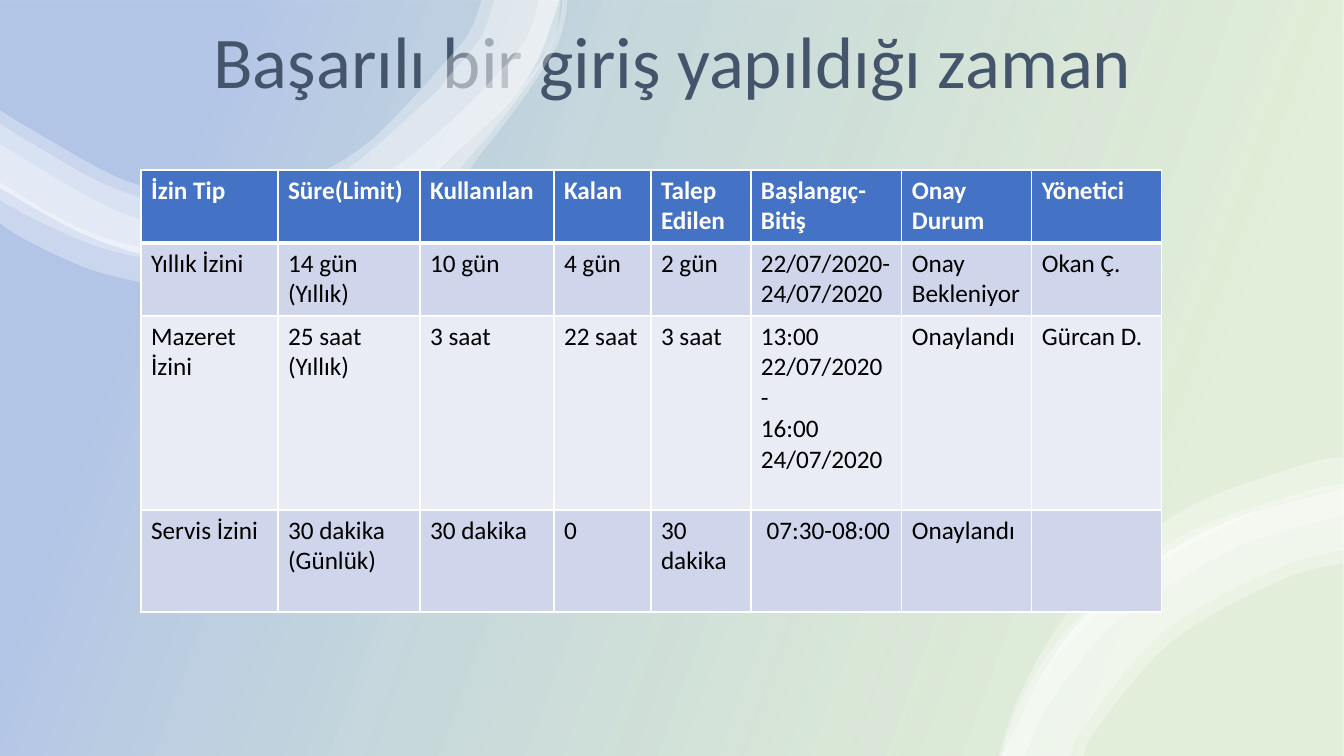
from lxml.etree import SubElement
from pptx import Presentation
from pptx.dml.color import RGBColor
from pptx.enum.shapes import MSO_SHAPE
from pptx.enum.text import MSO_ANCHOR, PP_ALIGN
from pptx.oxml.ns import qn
from pptx.util import Emu, Pt

WHITE = RGBColor(0xFF, 0xFF, 0xFF)
BLACK = RGBColor(0x00, 0x00, 0x00)
SLATE = RGBColor(0x44, 0x54, 0x6A)
BLUE = RGBColor(0x44, 0x72, 0xC4)
GREEN = RGBColor(0x70, 0xAD, 0x47)
BAND_DARK = RGBColor(0xCF, 0xD5, 0xEA)
BAND_LIGHT = RGBColor(0xE9, 0xEB, 0xF5)
FONT = "Calibri"
SLIDE_SIZE = (1344, 756)

TITLE = "Başarılı bir giriş yapıldığı zaman"
TITLE_BOX = (88, 15, 1169, 94)
GRADIENT = [(0.16, GREEN, 20), (0.85, BLUE, 40)]

LEAVE_ORIGIN = (141, 170)
COLUMN_WIDTHS = [137, 142, 134, 97, 100, 151, 130, 130]
ROW_HEIGHTS = [73, 73, 194, 102]
LEAVE_ROWS = [
    ["İzin Tip", "Süre(Limit)", "Kullanılan", "Kalan", "Talep Edilen",
     "Başlangıç-Bitiş", "Onay Durum", "Yönetici"],
    ["Yıllık İzini", "14 gün\n(Yıllık)", "10 gün", "4 gün", "2 gün",
     "22/07/2020-\n24/07/2020", "Onay\nBekleniyor", "Okan Ç."],
    ["Mazeret İzini", "25 saat\n(Yıllık)", "3 saat", "22 saat", "3 saat",
     "13:00 22/07/2020\n-\n16:00\n24/07/2020", "Onaylandı", "Gürcan D."],
    ["Servis İzini", "30 dakika\n(Günlük)", "30 dakika", "0", "30 dakika",
     " 07:30-08:00", "Onaylandı", ""],
]

TOP_INNER_EDGE = [(-2, 187), (100, 241), (202, 259), (363, 225), (479, 132),
                  (532, 71), (561, -5)]
BOTTOM_INNER_EDGE = [(1002, 756), (1060, 646), (1135, 574), (1229, 521),
                     (1344, 488)]
RIBBONS = [
    ([(563, -5), (559, 23), (545, 56), (512, 98), (479, 132), (422, 186),
      (369, 221), (308, 243), (242, 254), (192, 255), (111, 240), (52, 214),
      (-2, 181)],
     [(-2, 222), (28, 241), (95, 271), (169, 287), (209, 288), (284, 281),
      (356, 259), (442, 201), (483, 151), (520, 103), (554, 51), (564, 23),
      (568, -5)]),
    ([(540, -5), (526, 39), (490, 82), (448, 124), (404, 161), (357, 194),
      (303, 219), (265, 227), (218, 230), (179, 228), (122, 213), (69, 186),
      (-2, 143)],
     [(-2, 199), (38, 221), (102, 248), (173, 263), (206, 264), (282, 256),
      (383, 225), (439, 188), (482, 143), (518, 98), (544, 60), (556, 33),
      (561, -5)]),
    ([(496, -5), (481, 37), (449, 76), (424, 103), (325, 182), (202, 207),
      (116, 189), (31, 143), (-2, 122)], TOP_INNER_EDGE),
    ([(483, -5), (469, 33), (438, 70), (414, 97), (370, 141), (323, 171),
      (264, 191), (202, 197), (124, 180), (39, 134), (-2, 109)],
     TOP_INNER_EDGE),
    ([(999, 756), (1015, 706), (1047, 643), (1090, 587), (1143, 538),
      (1205, 499), (1309, 463), (1344, 457)],
     [(1344, 489), (1317, 494), (1252, 514), (1161, 561), (1108, 603),
      (1061, 652), (1024, 709), (1005, 756)]),
    (BOTTOM_INNER_EDGE,
     [(1344, 563), (1281, 580), (1171, 642), (1096, 730), (1084, 756)]),
    ([(1001, 756), (1020, 702), (1055, 645), (1102, 595), (1155, 553),
      (1216, 520), (1315, 489), (1344, 484)],
     [(1344, 517), (1322, 521), (1231, 550), (1123, 617), (1080, 662),
      (1044, 713), (1025, 756)]),
    (BOTTOM_INNER_EDGE,
     [(1344, 550), (1276, 569), (1163, 632), (1085, 725), (1070, 756)]),
]


def px(length):
    return Emu(round(length * 12192000 / 1344))


def set_alpha(color, percent):
    SubElement(color, qn("a:alpha")).set("val", str(percent * 1000))


def smooth(edge, steps=6):
    padded = [edge[0], *edge, edge[-1]]
    curve = []
    for before, start, end, after in zip(padded, padded[1:], padded[2:], padded[3:]):
        for step in range(steps):
            t = step / steps
            curve.append(tuple(
                b + ((c - a) + ((2 * a - 5 * b + 4 * c - d)
                                + (3 * b - a - 3 * c + d) * t) * t) * t / 2
                for a, b, c, d in zip(before, start, end, after)))
    return curve + [edge[-1]]


def add_backdrop(shapes):
    backdrop = shapes.add_shape(MSO_SHAPE.RECTANGLE, 0, 0, *map(px, SLIDE_SIZE))
    backdrop.shadow.inherit = False
    backdrop.line.fill.background()
    return backdrop.fill


def add_ribbon(shapes, edges):
    start, *rest = [(px(x), px(y)) for edge in edges for x, y in smooth(edge)]
    builder = shapes.build_freeform(*start)
    builder.add_line_segments(rest, close=True)
    ribbon = builder.convert_to_shape()
    ribbon.shadow.inherit = False
    ribbon.line.fill.background()
    ribbon.fill.solid()
    ribbon.fill.fore_color.rgb = WHITE
    set_alpha(ribbon.fill._xPr.find(".//" + qn("a:srgbClr")), 30)


def add_run(paragraph, text, size, color, bold=False):
    run = paragraph.add_run()
    run.text = text
    run.font.name = FONT
    run.font.size = Pt(size)
    run.font.bold = bold
    run.font.color.rgb = color


def add_borders(cell, header):
    properties = cell._tc.get_or_add_tcPr()
    for side in "LRTB":
        width = Pt(3 if header and side == "B" else 1)
        border = SubElement(properties, qn("a:ln" + side), w=str(width))
        fill = SubElement(border, qn("a:solidFill"))
        SubElement(fill, qn("a:srgbClr"), val=str(WHITE))


def fill_cell(cell, text, row):
    header = row == 0
    add_borders(cell, header)
    cell.fill.solid()
    cell.fill.fore_color.rgb = BLUE if header else BAND_DARK if row % 2 else BAND_LIGHT
    frame = cell.text_frame
    for index, line in enumerate(text.split("\n") if text else []):
        paragraph = frame.add_paragraph() if index else frame.paragraphs[0]
        add_run(paragraph, line, 18, WHITE if header else BLACK, header)


def main():
    presentation = Presentation()
    presentation.slide_width, presentation.slide_height = map(px, SLIDE_SIZE)
    shapes = presentation.slides.add_slide(presentation.slide_layouts[6]).shapes

    base = add_backdrop(shapes)
    base.solid()
    base.fore_color.rgb = WHITE
    tint = add_backdrop(shapes)
    tint.gradient()
    tint.gradient_angle = 160
    for stop, (position, color, alpha) in zip(tint.gradient_stops, GRADIENT):
        stop.position = position
        stop.color.rgb = color
        set_alpha(stop._gs.find(qn("a:srgbClr")), alpha)

    title = shapes.add_textbox(*map(px, TITLE_BOX)).text_frame
    title.word_wrap = True
    title.vertical_anchor = MSO_ANCHOR.BOTTOM
    heading = title.paragraphs[0]
    heading.alignment = PP_ALIGN.CENTER
    heading.line_spacing = 0.9
    add_run(heading, TITLE, 52, SLATE)

    for edges in RIBBONS:
        add_ribbon(shapes, edges)

    leave = shapes.add_table(
        len(ROW_HEIGHTS), len(COLUMN_WIDTHS), *map(px, LEAVE_ORIGIN),
        px(sum(COLUMN_WIDTHS)), px(sum(ROW_HEIGHTS))).table
    for column, width in zip(leave.columns, COLUMN_WIDTHS):
        column.width = px(width)
    for row, height in enumerate(ROW_HEIGHTS):
        leave.rows[row].height = px(height)
        for column, text in enumerate(LEAVE_ROWS[row]):
            fill_cell(leave.cell(row, column), text, row)

    presentation.save("out.pptx")


if __name__ == "__main__":
    main()
